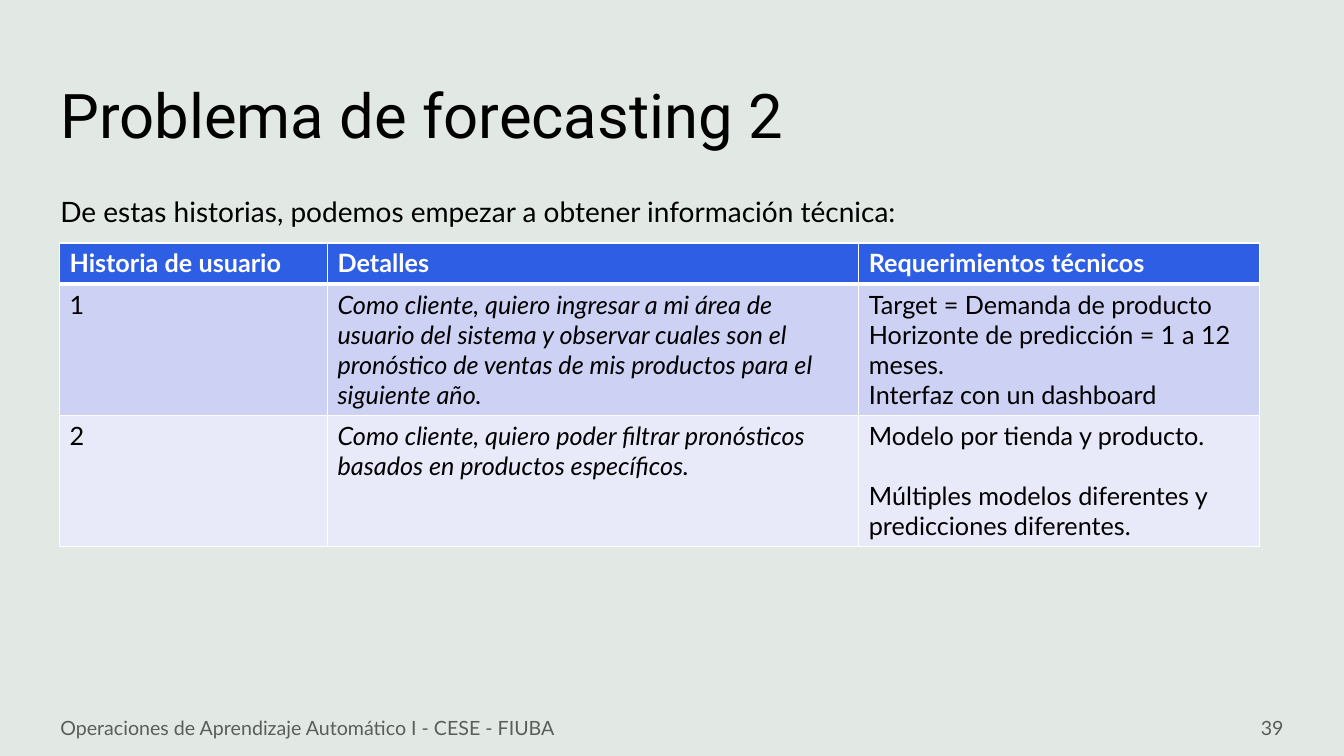
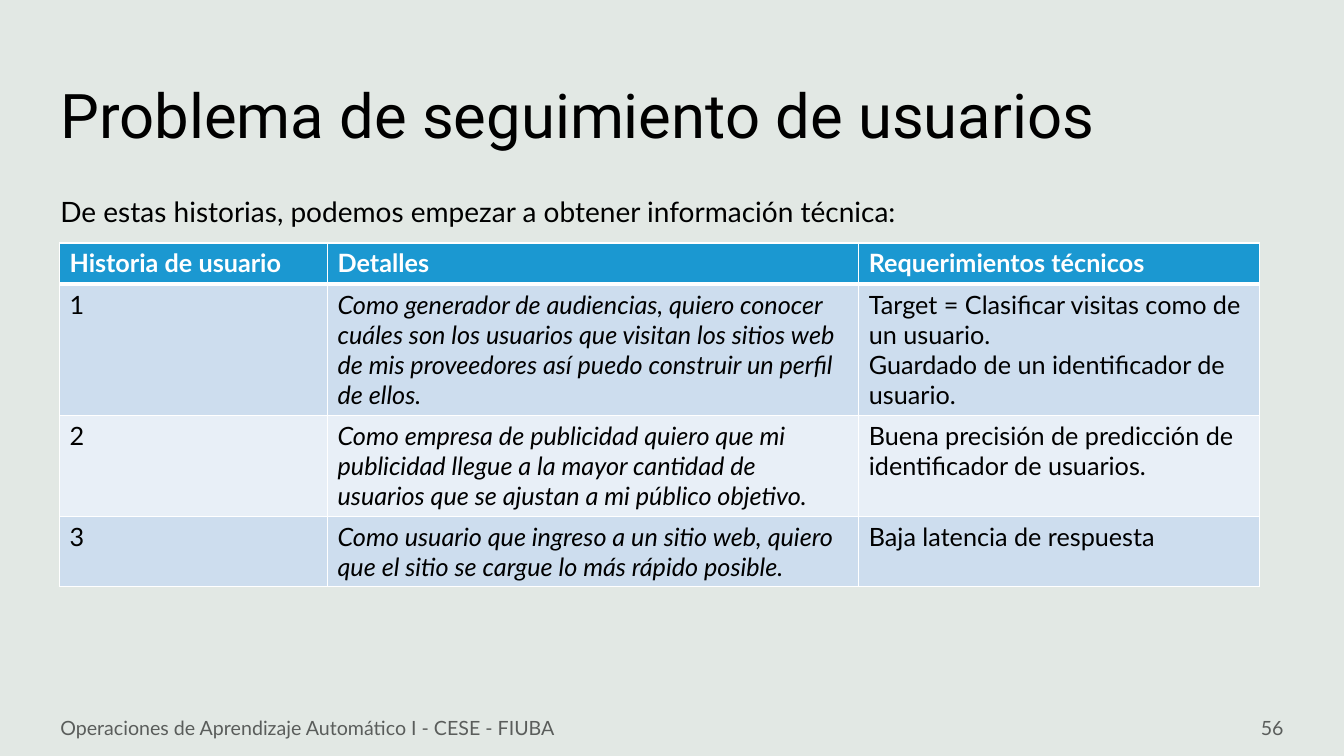
from lxml.etree import SubElement
from pptx import Presentation
from pptx.dml.color import RGBColor
from pptx.enum.text import MSO_ANCHOR, MSO_AUTO_SIZE, PP_ALIGN
from pptx.oxml.ns import qn
from pptx.util import Pt

# Shared look
BACK = RGBColor(0xE2, 0xE8, 0xE4)
BLACK = RGBColor(0, 0, 0)
WHITE = RGBColor(0xFF, 0xFF, 0xFF)
GREY = RGBColor(0x5A, 0x5D, 0x5B)
# Each theme: header, odd rows, even rows
INDIGO = (RGBColor(0x2D, 0x5E, 0xE3), RGBColor(0xCD, 0xD2, 0xF4),
          RGBColor(0xE8, 0xEA, 0xFA))
SKY = (RGBColor(0x1B, 0x98, 0xD1), RGBColor(0xCD, 0xDD, 0xEE),
       RGBColor(0xE8, 0xEF, 0xF7))

LEFT = 36
LINE = 21.6  # height of one line of table text
PAD = 7.2    # top and bottom cell margins together
COLS = (191.5, 379.5, 286)

INTRO = "De estas historias, podemos empezar a obtener información técnica:"
FOOTER = "Operaciones de Aprendizaje Automático I - CESE - FIUBA"
HEADS = ("Historia de usuario", "Detalles", "Requerimientos técnicos")

# Each row: lines tall, details, requirements, gap between requirements
SALES = (
    (4, "Como cliente, quiero ingresar a mi área de usuario del sistema y "
        "observar cuales son el pronóstico de ventas de mis productos para "
        "el siguiente año.",
     ("Target = Demanda de producto",
      "Horizonte de predicción = 1 a 12 meses.",
      "Interfaz con un dashboard"), 0),
    (4, "Como cliente, quiero poder filtrar pronósticos basados en productos "
        "específicos.",
     ("Modelo por tienda y producto.",
      "Múltiples modelos diferentes y predicciones diferentes."), LINE),
)
VISITS = (
    (4, "Como generador de audiencias, quiero conocer cuáles son los usuarios "
        "que visitan los sitios web de mis proveedores así puedo construir un "
        "perfil de ellos.",
     ("Target = Clasificar visitas como de un usuario.",
      "Guardado de un identificador de usuario."), 0),
    (3, "Como empresa de publicidad quiero que mi publicidad llegue a la mayor "
        "cantidad de usuarios que se ajustan a mi público objetivo.",
     ("Buena precisión de predicción de identificador de usuarios.",), 0),
    (2, "Como usuario que ingreso a un sitio web, quiero que el sitio se "
        "cargue lo más rápido posible.",
     ("Baja latencia de respuesta",), 0),
)


def write(frame, *lines, size=18, font="Lato", color=BLACK, bold=False,
          italic=False, align=PP_ALIGN.LEFT, space=1.0, gap=0):
    """Fill a text frame, one paragraph per line of text."""
    frame.word_wrap = True
    for i, line in enumerate(lines):
        para = frame.add_paragraph() if i else frame.paragraphs[0]
        para.alignment = align
        para.line_spacing = space
        para.space_before = Pt(gap if i else 0)
        run = para.add_run()
        run.text = line
        run.font.size, run.font.name = Pt(size), font
        run.font.bold, run.font.italic = bold, italic
        run.font.color.rgb = color


def add_box(slide, x, y, w, h, text, anchor=MSO_ANCHOR.MIDDLE, **style):
    box = slide.shapes.add_textbox(Pt(x), Pt(y), Pt(w), Pt(h))
    box.text_frame.vertical_anchor = anchor
    write(box.text_frame, text, **style)


def add_title(slide, text):
    title = slide.shapes.title
    title.left, title.top = Pt(LEFT), Pt(29)
    title.width, title.height = Pt(858), Pt(104)
    frame = title.text_frame
    frame.auto_size = MSO_AUTO_SIZE.NONE
    frame.vertical_anchor = MSO_ANCHOR.MIDDLE
    write(frame, text, size=44, font="Roboto")


def set_edges(cell, top, bottom):
    """Draw white borders; top and bottom are widths in points."""
    props = cell._tc.get_or_add_tcPr()
    for side, width in (("L", 1), ("R", 1), ("T", top), ("B", bottom)):
        edge = SubElement(props, qn(f"a:ln{side}"), w=str(Pt(width)))
        fill = SubElement(edge, qn("a:solidFill"))
        SubElement(fill, qn("a:srgbClr"), val=str(WHITE))


def add_grid(slide, theme, stories):
    tall = [LINE + PAD + 0.7] + [n * LINE + PAD for n, *_ in stories]
    grid = slide.shapes.add_table(
        len(tall), len(COLS), Pt(42.5), Pt(173.5),
        Pt(sum(COLS)), Pt(sum(tall))).table
    grid.horz_banding = False
    for col, width in zip(grid.columns, COLS):
        col.width = Pt(width)
    for row, height in zip(grid.rows, tall):
        row.height = Pt(height)

    # Borders and fills
    for r, row in enumerate(grid.rows):
        shade = theme[0] if r == 0 else theme[2 - r % 2]
        for cell in row.cells:
            set_edges(cell, 3 if r == 1 else 1, 3 if r == 0 else 1)
            cell.fill.solid()
            cell.fill.fore_color.rgb = shade

    # Text
    for c, head in enumerate(HEADS):
        write(grid.cell(0, c).text_frame, head, color=WHITE, bold=True)
    for r, (_, story, needs, gap) in enumerate(stories, 1):
        write(grid.cell(r, 0).text_frame, str(r))
        write(grid.cell(r, 1).text_frame, story, italic=True)
        write(grid.cell(r, 2).text_frame, *needs, gap=gap)


def add_page(deck, title, number, theme, stories):
    slide = deck.slides.add_slide(deck.slide_layouts[5])
    add_title(slide, title)
    add_box(slide, LEFT, 133, 888, 36, INTRO, MSO_ANCHOR.TOP,
            size=20, space=1.1)
    add_grid(slide, theme, stories)
    add_box(slide, LEFT, 505.5, 533, 29, FOOTER, size=14, color=GREY)
    add_box(slide, 708, 505.5, 216, 29, str(number), size=14, color=GREY,
            align=PP_ALIGN.RIGHT)


def main():
    deck = Presentation()
    deck.slide_width, deck.slide_height = Pt(960), Pt(540)
    back = deck.slide_master.background.fill
    back.solid()
    back.fore_color.rgb = BACK
    add_page(deck, "Problema de forecasting 2", 39, INDIGO, SALES)
    add_page(deck, "Problema de seguimiento de usuarios", 56, SKY, VISITS)
    deck.save("out.pptx")


if __name__ == "__main__":
    main()
